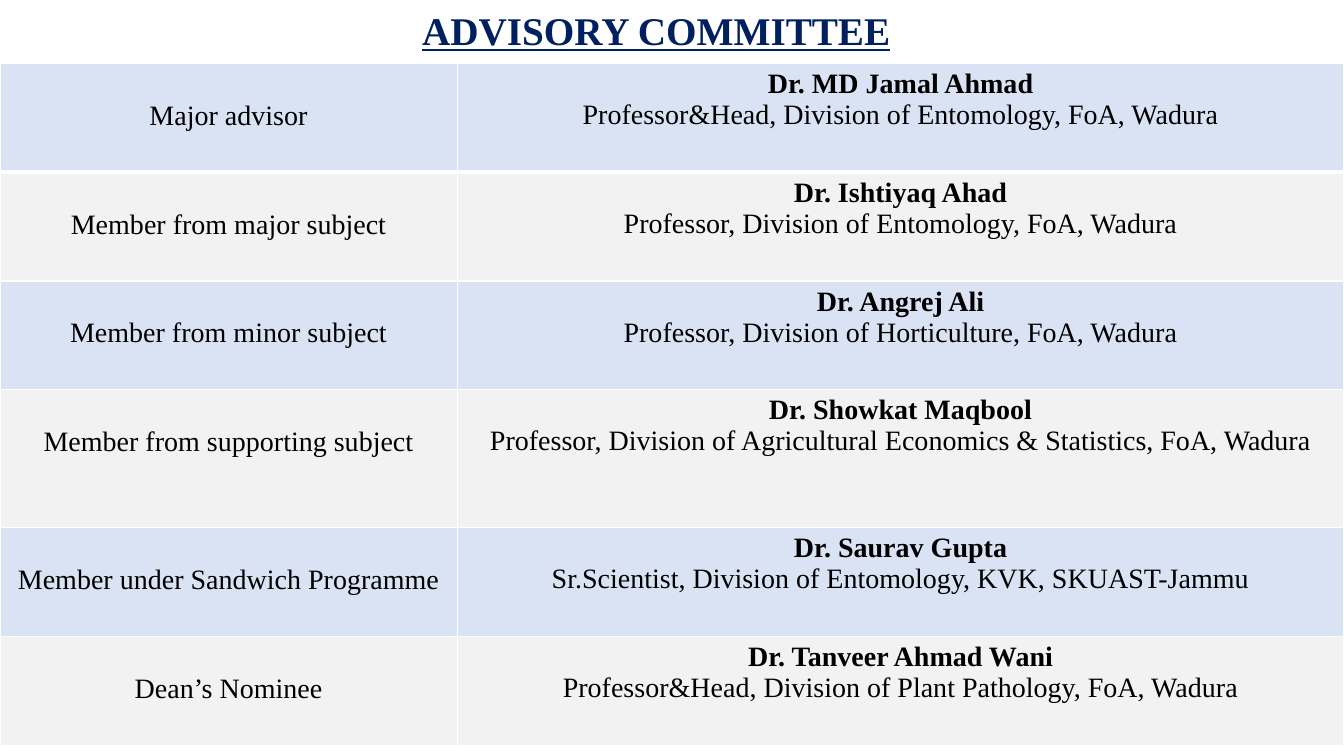
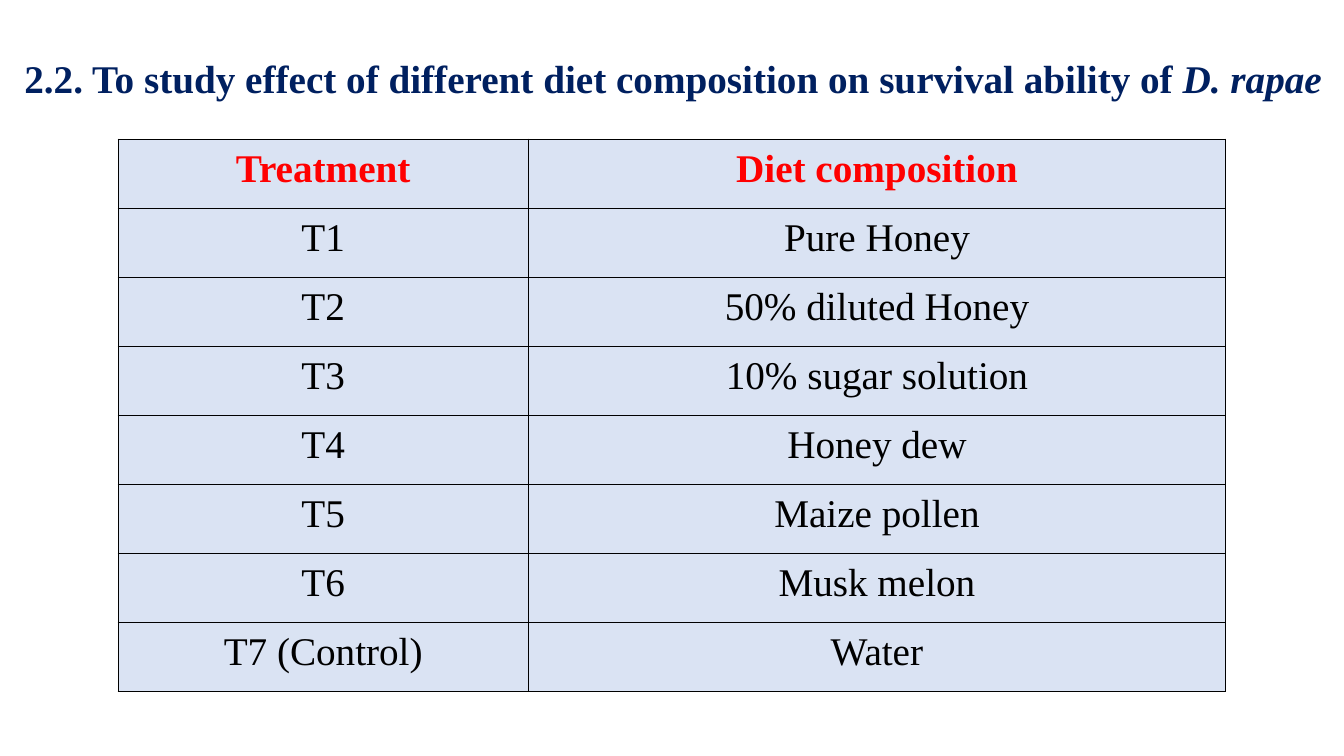
from dataclasses import dataclass

from lxml.etree import SubElement
from pptx import Presentation
from pptx.dml.color import RGBColor
from pptx.enum.text import MSO_ANCHOR, MSO_AUTO_SIZE, PP_ALIGN
from pptx.oxml.ns import qn
from pptx.util import Cm, Pt

# Shared look
COLORS = {
    "title": "002060",
    "text": "000000",
    "heading": "FF0000",
    "blue": "DAE3F3",
    "grey": "F2F2F2",
    "white": "FFFFFF",
}
FONT = "Times New Roman"
SLIDE_WIDTH, SLIDE_HEIGHT = 33.87, 19.05
TITLE_FORMAT = {"size": Pt(28), "bold": True, "color": "title"}
NAME_FORMAT = {"size": Pt(20), "bold": True, "color": "text"}
ROLE_FORMAT = {**NAME_FORMAT, "bold": False}
HEADING_FORMAT = {"size": Pt(28), "bold": True, "color": "heading"}
DIET_FORMAT = {"size": Pt(28), "bold": False, "color": "text"}

COMMITTEE = [
    ("Major advisor", "Dr. MD Jamal Ahmad",
     "Professor&Head, Division of Entomology, FoA, Wadura"),
    ("Member from major subject", "Dr. Ishtiyaq Ahad",
     "Professor, Division of Entomology, FoA, Wadura"),
    ("Member from minor subject", "Dr. Angrej Ali",
     "Professor, Division of Horticulture, FoA, Wadura"),
    ("Member from supporting subject", "Dr. Showkat Maqbool",
     "Professor, Division of Agricultural Economics & Statistics, FoA, Wadura"),
    ("Member under Sandwich Programme", "Dr. Saurav Gupta",
     "Sr.Scientist, Division of Entomology, KVK, SKUAST-Jammu"),
    ("Dean’s Nominee", "Dr. Tanveer Ahmad Wani",
     "Professor&Head, Division of Plant Pathology, FoA, Wadura"),
]
DIETS = [
    ("Treatment", "Diet composition"),
    ("T1", "Pure Honey"),
    ("T2", "50% diluted Honey"),
    ("T3", "10% sugar solution"),
    ("T4", "Honey dew"),
    ("T5", "Maize pollen"),
    ("T6", "Musk melon"),
    ("T7 (Control)", "Water"),
]


@dataclass
class Box:
    """An area of the slide, in centimetres."""
    left: float
    top: float
    width: float
    height: float

    def lengths(self):
        return [Cm(value) for value in (self.left, self.top, self.width, self.height)]


def add_run(paragraph, text, formats):
    run = paragraph.add_run()
    run.text = text
    run.font.name = FONT
    for name, value in formats.items():
        if name == "color":
            run.font.color.rgb = RGBColor.from_string(COLORS[value])
        else:
            setattr(run.font, name, value)


def add_title(slide, box, parts, alignment):
    """Place the title; parts are (text, extra formats) pairs."""
    title = slide.shapes.title
    title.left, title.top, title.width, title.height = box.lengths()
    frame = title.text_frame
    frame.word_wrap = True
    frame.auto_size = MSO_AUTO_SIZE.NONE
    frame.vertical_anchor = MSO_ANCHOR.MIDDLE
    paragraph = frame.paragraphs[0]
    paragraph.alignment = alignment
    for text, extra in parts:
        add_run(paragraph, text, {**TITLE_FORMAT, **extra})


def add_table(slide, box, row_heights, first_share):
    """Add a two-column table whose first column takes first_share of the width."""
    frame = slide.shapes.add_table(len(row_heights), 2, *box.lengths())
    table = frame.table
    table.horz_banding = False
    for column, share in zip(table.columns, (first_share, 1 - first_share)):
        column.width = Cm(round(box.width * share, 2))
    for row, height in zip(table.rows, row_heights):
        row.height = Cm(height)
    return table


def style_cell(cell, fill, border, widths):
    """Draw the borders (left, right, top, bottom, in points), then the fill."""
    properties = cell._tc.get_or_add_tcPr()
    for side, width in zip("LRTB", widths):
        line = SubElement(properties, qn(f"a:ln{side}"), w=str(Pt(width)))
        solid = SubElement(line, qn("a:solidFill"))
        SubElement(solid, qn("a:srgbClr"), val=COLORS[border])
    cell.fill.solid()
    cell.fill.fore_color.rgb = RGBColor.from_string(COLORS[fill])


def write_cell(cell, lines, line_spacing=1.0):
    """Write centred lines; each is a (text, formats) pair."""
    frame = cell.text_frame
    for index, (text, formats) in enumerate(lines):
        paragraph = frame.add_paragraph() if index else frame.paragraphs[0]
        paragraph.alignment = PP_ALIGN.CENTER
        paragraph.line_spacing = line_spacing
        add_run(paragraph, text, formats)


def build_committee(slide, box):
    title_height = 1.5
    table_top = 1.6
    add_title(slide, Box(box.left, box.top, box.width - 0.8, title_height),
              [("ADVISORY COMMITTEE", {"underline": True})], PP_ALIGN.CENTER)

    # Committee table, with a taller fourth row
    heights = [2.74] * len(COMMITTEE)
    heights[3] = 3.48
    area = Box(box.left, box.top + table_top, box.width, sum(heights))
    table = add_table(slide, area, heights, 0.34)
    edges = [1, 3] + [1] * (len(COMMITTEE) - 1)
    for index, (role, name, post) in enumerate(COMMITTEE):
        role_cell, member_cell = table.rows[index].cells
        for cell in (role_cell, member_cell):
            style_cell(cell, ("blue", "grey")[index % 2], "white",
                       (1, 1, edges[index], edges[index + 1]))
        # The role stands level with the second line of its neighbour
        role_cell.margin_top = Cm(0.93)
        write_cell(role_cell, [(role, ROLE_FORMAT)])
        write_cell(member_cell, [(name, NAME_FORMAT), (post, ROLE_FORMAT)])


def build_diets(slide, box):
    add_title(slide, Box(box.left + 0.36, box.top + 1.23, box.width - 0.36, 1.48),
              [("2.2. To study effect of different diet composition on survival ability of ", {}),
               ("D. rapae", {"italic": True})], PP_ALIGN.LEFT)

    # Diet table, centred across the slide
    row_height = 1.74
    side = 2.98
    area = Box(box.left + side, box.top + 3.51, box.width - 2 * side, row_height * len(DIETS))
    table = add_table(slide, area, [row_height] * len(DIETS), 0.37)
    for index, texts in enumerate(DIETS):
        formats = DIET_FORMAT if index else HEADING_FORMAT
        for cell, text in zip(table.rows[index].cells, texts):
            cell.margin_left = cell.margin_right = Cm(0.18)
            style_cell(cell, "blue", "text", (1, 1, 1, 1))
            write_cell(cell, [(text, formats)], 1.07)


def main():
    presentation = Presentation()
    presentation.slide_width = Cm(SLIDE_WIDTH)
    presentation.slide_height = Cm(SLIDE_HEIGHT)
    title_only = presentation.slide_layouts[5]
    page = Box(0, 0, SLIDE_WIDTH, SLIDE_HEIGHT)
    for build in (build_committee, build_diets):
        build(presentation.slides.add_slide(title_only), page)
    presentation.save("out.pptx")


if __name__ == "__main__":
    main()
